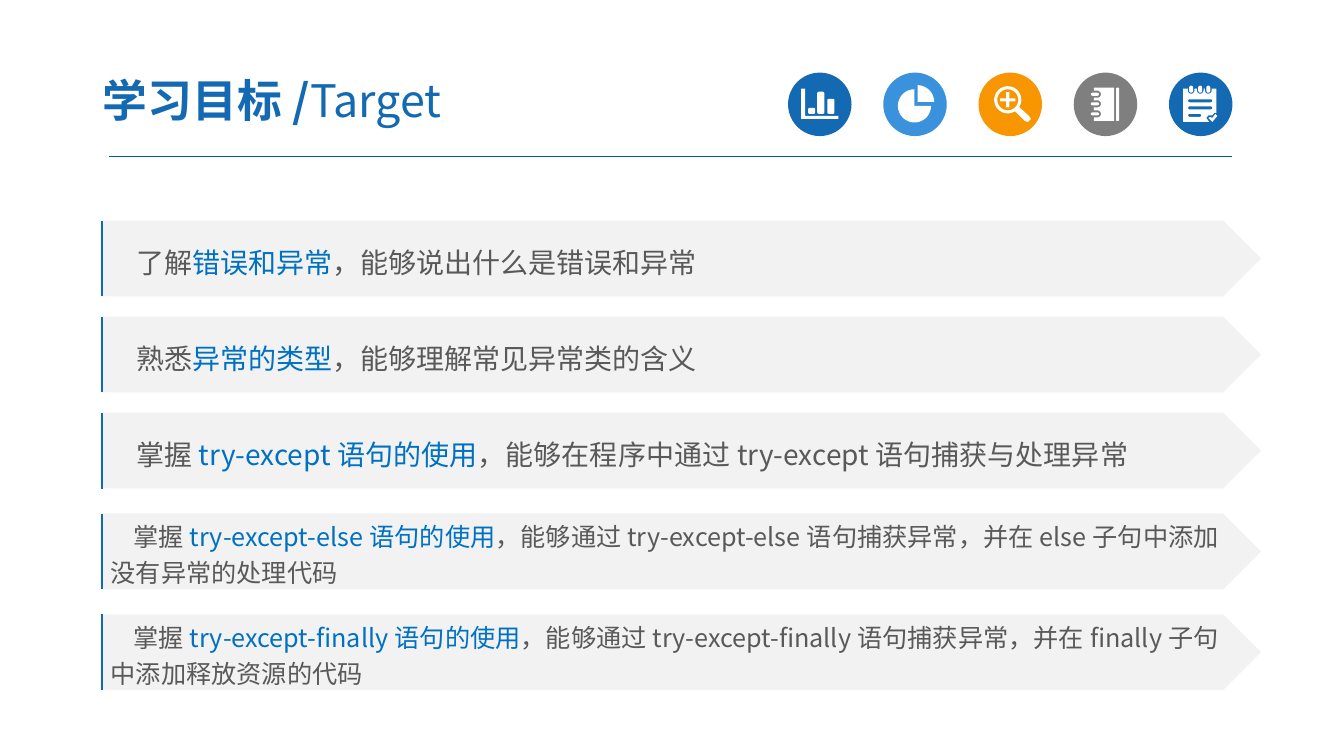
from math import cos, radians, sin

from lxml.etree import SubElement
from pptx import Presentation
from pptx.dml.color import RGBColor
from pptx.enum.shapes import MSO_CONNECTOR, MSO_SHAPE
from pptx.enum.text import MSO_ANCHOR, PP_ALIGN
from pptx.oxml.ns import qn
from pptx.util import Cm, Pt

BLUE, SKY, ORANGE, GREY = "1369B2", "3992DB", "F79600", "7F7F7F"
HIGHLIGHT, BODY, BAND, WHITE, RULE = "0070C0", "595959", "F2F2F2", "FFFFFF", "005B9E"


def color(value):
    return RGBColor.from_string(value)


# Icon outlines are in hundredths of an inch from the top left of their circle.
def arc(x, y, radius, start, end, steps=24):
    """Points along an arc; angles in degrees, clockwise from the right."""
    angles = [radians(start + (end - start) * i / steps) for i in range(steps + 1)]
    return [(x + radius * cos(a), y + radius * sin(a)) for a in angles]


def rounded(left, top, width, height, radius):
    right, bottom = left + width - radius, top + height - radius
    left, top = left + radius, top + radius
    corners = [(right, bottom), (left, bottom), (left, top), (right, top)]
    return [point for i, (x, y) in enumerate(corners)
            for point in arc(x, y, radius, 90 * i, 90 * i + 90, 6)]


def bar_chart_icon():
    axes = [(13, 16), (17, 16), (17, 43), (50, 43), (50, 46), (13, 46)]
    bars = [(20, 35), (29, 19), (39, 26)]
    return [axes] + [rounded(x, top, 7, 41 - top, 1.5) for x, top in bars]


def pie_icon():
    return [[(31, 33)] + arc(31, 33, 16.5, 0, 270),
            [(34, 29)] + arc(34, 29, 16.5, 270, 360)]


def magnifier_icon():
    handle = [(50, 43), (52, 46), (49, 49), (46, 48)]
    near, far = 1.5, 7.5
    quarter = [(near, -far), (near, -near), (far, -near)]
    plus = []
    for _ in range(4):
        plus += [(29 + x, 27 + y) for x, y in quarter]
        quarter = [(-y, x) for x, y in quarter]
    return [arc(29, 27, 13.5, 58, 392) + handle, arc(29, 27, 10.5, 0, 360), plus]


def notebook_icon():
    ring_centers = [41, 31, 21.5]
    cover = [(20, 15), (40, 15), (40, 48), (20, 48)]
    for y in ring_centers:
        cover += [(20, y + 3.5)] + arc(23.5, y, 3.5, 90, -90) + [(20, y - 3.5)]
    rings = [rounded(17, y - 1.5, 8, 3, 1.5) for y in ring_centers]
    return [cover, rounded(42, 15, 3, 33, 1)] + rings


def notepad_icon():
    ring_centers = [22, 31, 39]
    page = [(14, 16)]
    for x in ring_centers:
        page += [(x - 3.3, 16)] + arc(x, 17.7, 3.3, 180, 0) + [(x + 3.3, 16)]
    page += [(47, 16), (47, 40), (45, 40), (43, 42.5), (39, 42.5), (37, 45),
             (40, 49), (14, 49)]
    check = [(39, 45), (41, 44), (43, 45), (46, 41), (48, 43), (43, 49)]
    rings = [rounded(x - 2, 13, 4, 7, 2) for x in ring_centers]
    lines = [rounded(19, top, width, 3, 1.5)
             for top, width in [(26.5, 24), (33.5, 24), (41, 13)]]
    return [page, check] + rings + lines


class SlideBuilder:
    FONT = "Noto Sans CJK SC"

    def __init__(self, slide):
        self.slide = slide
        self.shapes = slide.shapes

    def paint(self, shape, fill):
        shape.shadow.inherit = False
        shape.fill.solid()
        shape.fill.fore_color.rgb = color(fill)
        shape.line.fill.background()

    def add_text(self, text_frame, parts, size):
        """Add one left-aligned paragraph of (text, color, bold) parts."""
        text_frame.word_wrap = True
        text_frame.vertical_anchor = MSO_ANCHOR.MIDDLE
        paragraph = text_frame.paragraphs[0]
        paragraph.alignment = PP_ALIGN.LEFT
        for text, fill, bold in parts:
            run = paragraph.add_run()
            run.text = text
            run.font.size = Pt(size)
            run.font.bold = bold
            run.font.name = self.FONT
            run.font.color.rgb = color(fill)
            SubElement(run.font._element, qn("a:ea"), typeface=self.FONT)
        return paragraph

    def line(self, start_x, start_y, end_x, end_y, fill, width):
        connector = self.shapes.add_connector(
            MSO_CONNECTOR.STRAIGHT, Cm(start_x), Cm(start_y), Cm(end_x), Cm(end_y))
        connector.line.color.rgb = color(fill)
        connector.line.width = Pt(width)
        SubElement(connector._element.spPr, qn("a:effectLst"))

    def title(self, left, top, width, height, parts):
        box = self.shapes.add_textbox(Cm(left), Cm(top), Cm(width), Cm(height))
        frame = box.text_frame
        frame.margin_left = frame.margin_right = Cm(0.33)
        frame.margin_top = frame.margin_bottom = Cm(0.17)
        self.add_text(frame, parts, 32)

    def icon(self, left, top, fill, outlines):
        circle = self.shapes.add_shape(
            MSO_SHAPE.OVAL, Cm(left), Cm(top), Cm(1.6), Cm(1.6))
        self.paint(circle, fill)
        # Vertices are rounded to whole units, so use thousandths of an inch.
        outlines = [[(x * 10, y * 10) for x, y in outline] for outline in outlines]
        builder = self.shapes.build_freeform(*outlines[0][0], scale=Cm(2.54) / 1000)
        builder.add_line_segments(outlines[0][1:], close=True)
        for outline in outlines[1:]:
            builder.move_to(*outline[0])
            builder.add_line_segments(outline[1:], close=True)
        self.paint(builder.convert_to_shape(Cm(left), Cm(top)), WHITE)

    def goal(self, top, size, verb, topic, detail):
        left, height = 2.54, 1.91
        band = self.shapes.add_shape(
            MSO_SHAPE.PENTAGON, Cm(left), Cm(top), Cm(29.24), Cm(height))
        self.paint(band, BAND)
        parts = [(verb, BODY, False), (topic, HIGHLIGHT, False), (detail, BODY, False)]
        paragraph = self.add_text(band.text_frame, parts, size)
        paragraph.line_spacing = 1.2
        paragraph._p.get_or_add_pPr().set("indent", str(Cm(0.032 * size)))
        self.line(left + 0.02, top + height, left + 0.02, top, BLUE, 1.5)


def main():
    presentation = Presentation()
    presentation.slide_width, presentation.slide_height = Cm(33.87), Cm(19.05)
    builder = SlideBuilder(presentation.slides.add_slide(presentation.slide_layouts[6]))

    builder.line(2.74, 3.94, 31.06, 3.94, RULE, 0.75)
    icons = [(BLUE, bar_chart_icon()), (SKY, pie_icon()), (ORANGE, magnifier_icon()),
             (GREY, notebook_icon()), (BLUE, notepad_icon())]
    for i, (fill, outlines) in enumerate(icons):
        builder.icon(19.86 + 2.4 * i, 1.83, fill, outlines)
    builder.title(2.26, 1.6, 13.26, 1.83,
                  [("学习目标/", BLUE, True), ("Target", BLUE, False)])

    goals = [
        (5.56, 20, "了解", "错误和异常", "，能够说出什么是错误和异常"),
        (7.98, 20, "熟悉", "异常的类型", "，能够理解常见异常类的含义"),
        (10.4, 20, "掌握", "try-except语句的使用",
         "，能够在程序中通过try-except语句捕获与处理异常"),
        (12.94, 18, "掌握", "try-except-else语句的使用",
         "，能够通过try-except-else语句捕获异常，并在else子句中添加没有异常的处理代码"),
        (15.48, 18, "掌握", "try-except-finally语句的使用",
         "，能够通过try-except-finally语句捕获异常，并在finally子句中添加释放资源的代码"),
    ]
    for goal in goals:
        builder.goal(*goal)
    presentation.save("out.pptx")


if __name__ == "__main__":
    main()
